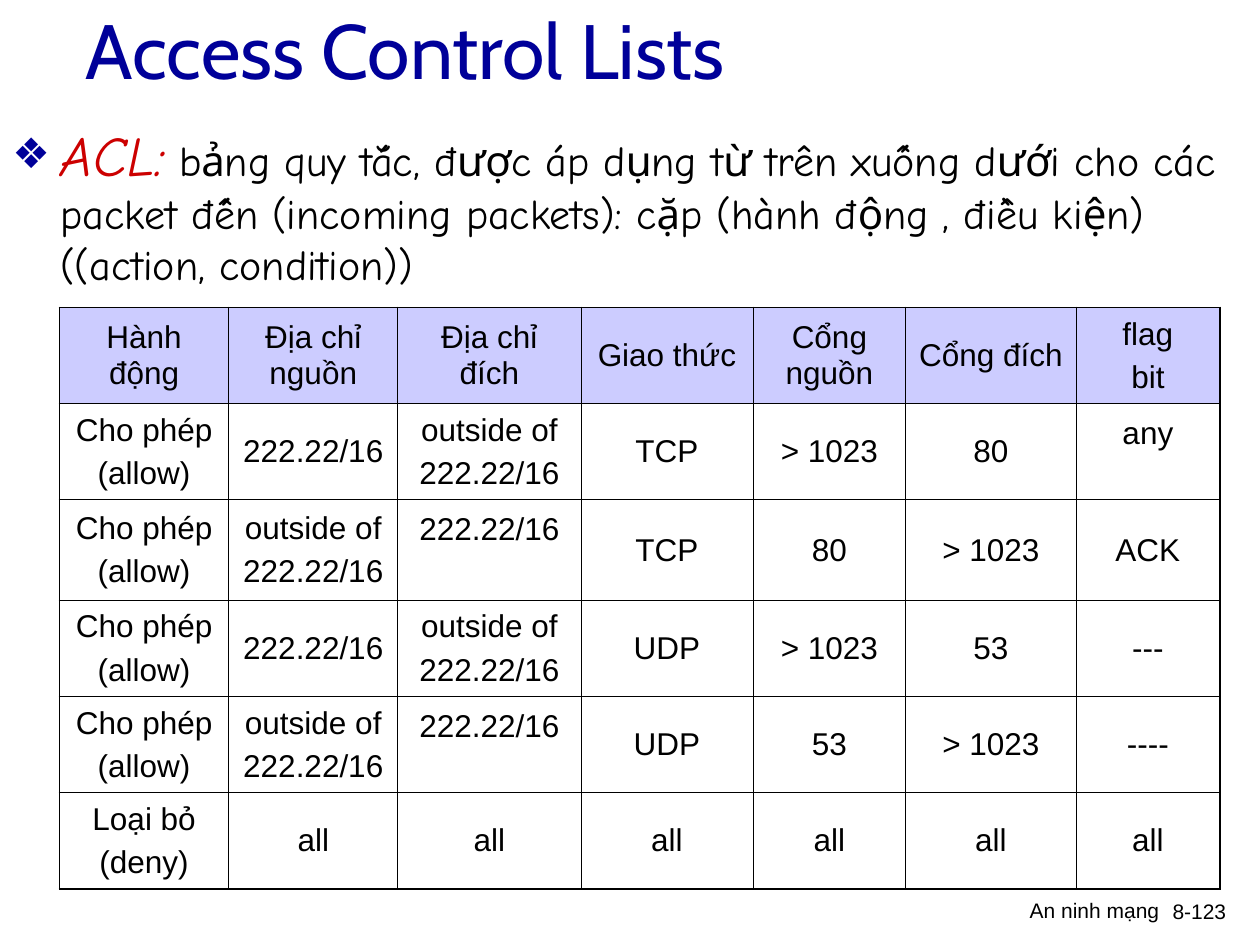
from lxml import etree
from pptx import Presentation
from pptx.dml.color import RGBColor
from pptx.enum.text import MSO_ANCHOR, PP_ALIGN
from pptx.oxml.ns import qn
from pptx.util import Cm, Pt

MIDDLE, TOP = MSO_ANCHOR.MIDDLE, MSO_ANCHOR.TOP
CENTER, LEFT, RIGHT = PP_ALIGN.CENTER, PP_ALIGN.LEFT, PP_ALIGN.RIGHT
NAVY = RGBColor(0x00, 0x00, 0x99)
RED = RGBColor(0xCC, 0x00, 0x00)
BLACK = RGBColor(0x00, 0x00, 0x00)
LILAC = RGBColor(0xCC, 0xCC, 0xFF)

WIDTHS = [3.41, 3.41, 3.69, 3.47, 3.08, 3.43, 2.9]
HEIGHTS = [1.93, 1.93, 2.03, 1.93, 1.93, 1.93]
ALLOW = "Cho phép\n(allow)"
INSIDE = "222.22/16"
OUTSIDE = "outside of\n222.22/16"
RULES = [
    ["Hành động", "Địa chỉ nguồn", "Địa chỉ đích", "Giao thức",
     "Cổng nguồn", "Cổng đích", "flag\nbit"],
    [ALLOW, INSIDE, OUTSIDE, "TCP", "> 1023", "80", "any"],
    [ALLOW, OUTSIDE, INSIDE, "TCP", "80", "> 1023", "ACK"],
    [ALLOW, INSIDE, OUTSIDE, "UDP", "> 1023", "53", "---"],
    [ALLOW, OUTSIDE, INSIDE, "UDP", "53", "> 1023", "----"],
    ["Loại bỏ\n(deny)"] + ["all"] * 6,
]
RAISED = {(1, 6), (2, 2), (4, 2)}


class Deck:
    font = "Arial"
    thin, thick = 0.45, 1.08

    def __init__(self):
        self.prs = Presentation()
        self.prs.slide_width, self.prs.slide_height = Cm(25.4), Cm(19.05)
        self.slide = self.prs.slides.add_slide(self.prs.slide_layouts[5])

    def run(self, para, text, size, color=BLACK, font=None, italic=False):
        run = para.add_run()
        run.text = text
        run.font.size = Pt(size)
        run.font.name = font or self.font
        run.font.color.rgb = color
        run.font.italic = italic

    def title(self, text, left, top, width, height):
        shape = self.slide.shapes.title
        shape.left, shape.top = Cm(left), Cm(top)
        shape.width, shape.height = Cm(width), Cm(height)
        frame = shape.text_frame
        frame.vertical_anchor = MIDDLE
        para = frame.paragraphs[0]
        para.alignment = LEFT
        self.run(para, text, 44, NAVY, "Cabin")

    def box(self, left, top, width, height, align=LEFT):
        shape = self.slide.shapes.add_textbox(
            Cm(left), Cm(top), Cm(width), Cm(height))
        shape.text_frame.word_wrap = True
        para = shape.text_frame.paragraphs[0]
        para.alignment = align
        return para

    def bullet(self, para, char, color, indent):
        props = para._p.get_or_add_pPr()
        props.set("marL", str(Cm(indent)))
        props.set("indent", str(-Cm(indent)))
        tint = etree.SubElement(props, qn("a:buClr"))
        etree.SubElement(tint, qn("a:srgbClr"), val=str(color))
        etree.SubElement(props, qn("a:buSzPct"), val="75000")
        etree.SubElement(props, qn("a:buFont"), typeface=self.font)
        etree.SubElement(props, qn("a:buChar"), char=char)

    def border(self, cell, sides):
        props = cell._tc.get_or_add_tcPr()
        for side, outer in sides.items():
            width = self.thick if outer else self.thin
            line = etree.SubElement(props, qn(f"a:ln{side}"), w=str(Pt(width)))
            fill = etree.SubElement(line, qn("a:solidFill"))
            etree.SubElement(fill, qn("a:srgbClr"), val=str(BLACK))

    def cell(self, cell, text, head, raised):
        cell.vertical_anchor = TOP if raised else MIDDLE
        if raised:
            cell.margin_top = Cm(0.25)
        if head:
            cell.fill.solid()
            cell.fill.fore_color.rgb = LILAC
        else:
            cell.fill.background()
        frame = cell.text_frame
        for i, line in enumerate(text.split("\n")):
            para = frame.add_paragraph() if i else frame.paragraphs[0]
            para.alignment = CENTER
            if i:
                para.space_before = Pt(4.5)
            self.run(para, line, 18)

    def table(self, rows, left, top, widths, heights):
        table = self.slide.shapes.add_table(
            len(rows), len(widths), Cm(left), Cm(top),
            Cm(sum(widths)), Cm(sum(heights))).table
        table.first_row = table.horz_banding = False
        for col, width in zip(table.columns, widths):
            col.width = Cm(width)
        for r, row in enumerate(rows):
            table.rows[r].height = Cm(heights[r])
            for c, text in enumerate(row):
                cell = table.cell(r, c)
                self.border(cell, {"L": c == 0, "R": c == len(row) - 1,
                                   "T": r == 0, "B": r == len(rows) - 1})
                self.cell(cell, text, r == 0, (r, c) in RAISED)


def main():
    deck = Deck()
    deck.title("Access Control Lists", 1.47, -0.61, 21.59, 3.18)
    body = deck.box(0, 2.31, 25.4, 2.82)
    deck.bullet(body, "❖", NAVY, 0.97)
    deck.run(body, "ACL:", 32, RED, "Comic Neue", True)
    deck.run(body, " ", 24, RED, "Comic Neue")
    deck.run(body, "bảng quy tắc, được áp dụng từ trên xuống dưới cho các "
             "packet đến (incoming packets): cặp (hành động , điều kiện) "
             "((action, condition))", 24, BLACK, "Comic Neue")
    deck.table(RULES, 1.2, 6.2, WIDTHS, HEIGHTS)
    for text, left, top, width in [("An ninh mạng", 12.9, 17.96, 10.72),
                                   ("8-123", 23.09, 17.98, 1.88)]:
        deck.run(deck.box(left, top, width, 0.85, RIGHT), text, 12)
    deck.prs.save("out.pptx")


if __name__ == "__main__":
    main()
